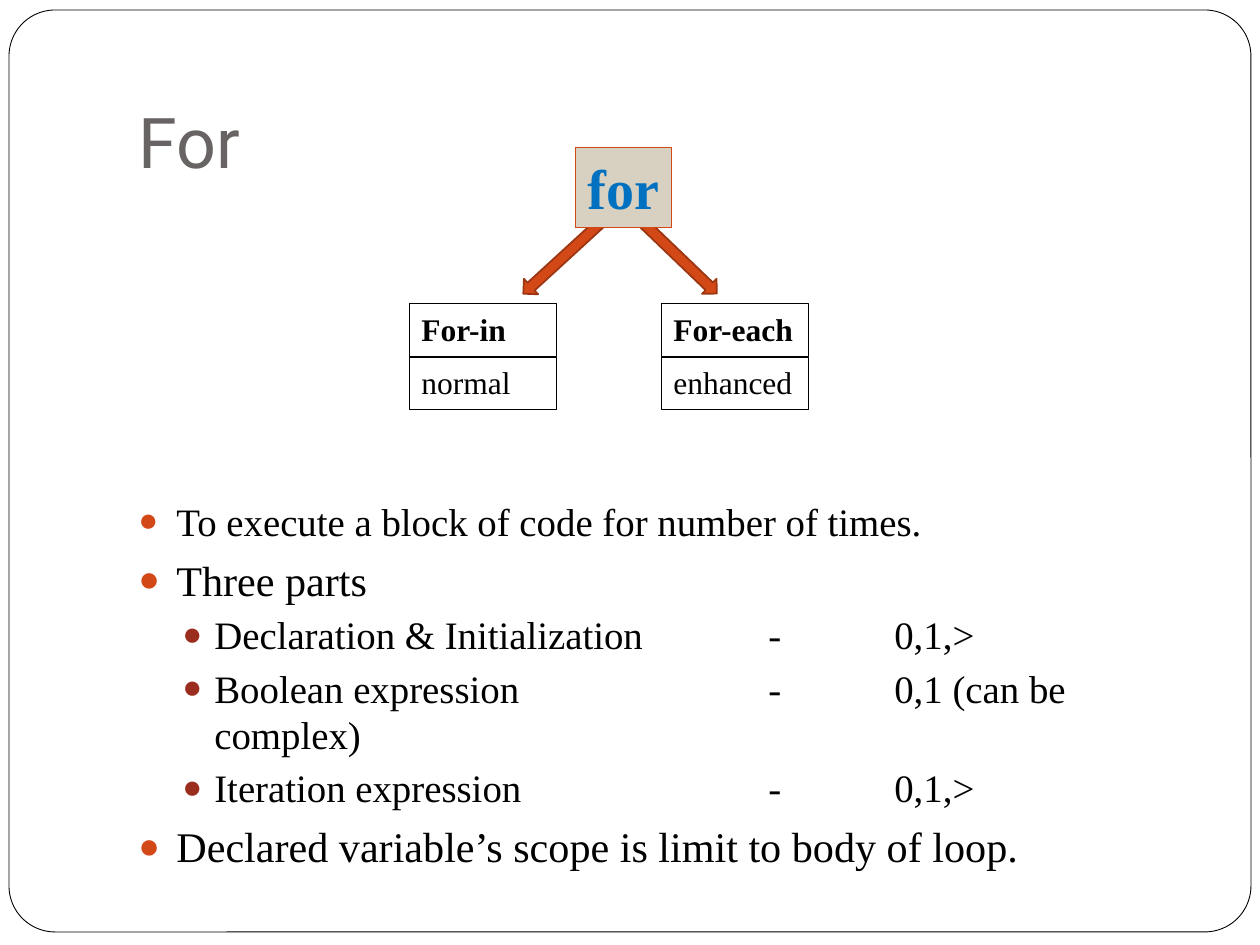
import pptx
import pptx.util
import pptx.dml.color
import pptx.enum.shapes
import pptx.enum.text
import lxml.etree

SHAPE = pptx.enum.shapes.MSO_SHAPE
ANCHOR = pptx.enum.text.MSO_ANCHOR
Pt = pptx.util.Pt
SERIF = "Times New Roman"


def px(n):
    return round(n * 914400 / 126)


def rgb(color):
    return pptx.dml.color.RGBColor.from_string(color)


class Deck:
    """Holds the style and the current slide, and adds each kind of element."""

    def __init__(self):
        self.prs = pptx.Presentation()
        self.prs.slide_width, self.prs.slide_height = px(1260), px(945)
        self.s = self.prs.slides.add_slide(self.prs.slide_layouts[5])

    def font(self, p, size, color, name=SERIF, bold=False):
        f = p.font
        f.size, f.name, f.bold = Pt(size), name, bold
        f.color.rgb = rgb(color)

    def title(self, text, x, y, w, h):
        sp = self.s.shapes.title
        sp.left, sp.top, sp.width, sp.height = map(px, (x, y, w, h))
        tf = sp.text_frame
        tf.text = text
        tf.vertical_anchor = ANCHOR.BOTTOM
        tf.margin_bottom = px(12)
        p = tf.paragraphs[0]
        p.alignment = pptx.enum.text.PP_ALIGN.LEFT
        self.font(p, 40, "696464", "Roboto")

    def shape(self, kind, x, y, w, h, fill=None, line="000000", weight=0.5, angle=0):
        sp = self.s.shapes.add_shape(kind, *map(px, (x, y, w, h)))
        sp.shadow.inherit = False
        if fill:
            sp.fill.solid()
            sp.fill.fore_color.rgb = rgb(fill)
        else:
            sp.fill.background()
        sp.line.color.rgb = rgb(line)
        sp.line.width = Pt(weight)
        sp.rotation = angle
        return sp

    def label(self, text, x, y, w, h, size=18, color="000000", bold=False, wrap=True, **style):
        tf = self.shape(SHAPE.RECTANGLE, x, y, w, h, **style).text_frame
        tf.text = text
        tf.word_wrap = wrap
        tf.vertical_anchor = ANCHOR.TOP
        p = tf.paragraphs[0]
        p.alignment = pptx.enum.text.PP_ALIGN.LEFT
        self.font(p, size, color, bold=bold)

    def bullets(self, items, x, y, w, h):
        tf = self.s.shapes.add_textbox(*map(px, (x, y, w, h))).text_frame
        tf.word_wrap = True
        for i, (level, size, text) in enumerate(items):
            p = tf.paragraphs[0] if i == 0 else tf.add_paragraph()
            p.text = text
            p.level = level
            p.space_before = Pt((5.8, 3.7)[level])
            self.font(p, size, "000000")
            self.bullet(p, *((38, 38, "D34817"), (76, 32, "9B2D1F"))[level])

    def bullet(self, p, margin, hang, color):
        pPr = p._p.get_or_add_pPr()
        pPr.set("marL", str(px(margin)))
        pPr.set("indent", str(-px(hang)))
        pPr.set("defTabSz", str(px(126)))
        ns = "{http://schemas.openxmlformats.org/drawingml/2006/main}"
        sub = lxml.etree.SubElement
        marks = [sub(sub(pPr, ns + "buClr"), ns + "srgbClr", val=color).getparent(),
                 sub(pPr, ns + "buSzPct", val="85000"),
                 sub(pPr, ns + "buFont", typeface=SERIF),
                 sub(pPr, ns + "buChar", char="●")]
        default = pPr.find(ns + "defRPr")
        if default is not None:
            for mark in marks:
                default.addprevious(mark)


d = Deck()
frame = d.shape(SHAPE.ROUNDED_RECTANGLE, 9, 10, 1242, 922, "FFFFFF")
frame.adjustments[0] = 0.05
tree = d.s.shapes._spTree
tree.remove(frame._element)
tree.insert(2, frame._element)

d.title("For", 126, 38, 1071, 157)
d.bullets([
    (0, 22.2, "To execute a block of code for number of times."),
    (0, 24.1, "Three parts"),
    (1, 22.2, "Declaration & Initialization \t-\t0,1,>"),
    (1, 22.2, "Boolean expression\t\t-\t0,1 (can be complex)"),
    (1, 22.2, "Iteration expression\t\t-\t0,1,>"),
    (0, 24.1, "Declared variable’s scope is limit to body of loop."),
], 126, 491, 1071, 399)

for x, y, angle in ((508, 244, 137.5), (617, 243, 43.8)):
    d.shape(SHAPE.RIGHT_ARROW, x, y, 116, 21, "D34817", "9C3511", 1, angle)
d.label("for", 575, 147, 97, 81, 32, "0070C0", True, False, fill="D8D0C0", line="D34817")
for x, column in ((409, ("For-in", "normal")), (661, ("For-each", "enhanced"))):
    for row, text in enumerate(column):
        d.label(text, x, 304 + 53 * row, 148, 53, bold=row == 0)

d.prs.save("out.pptx")
